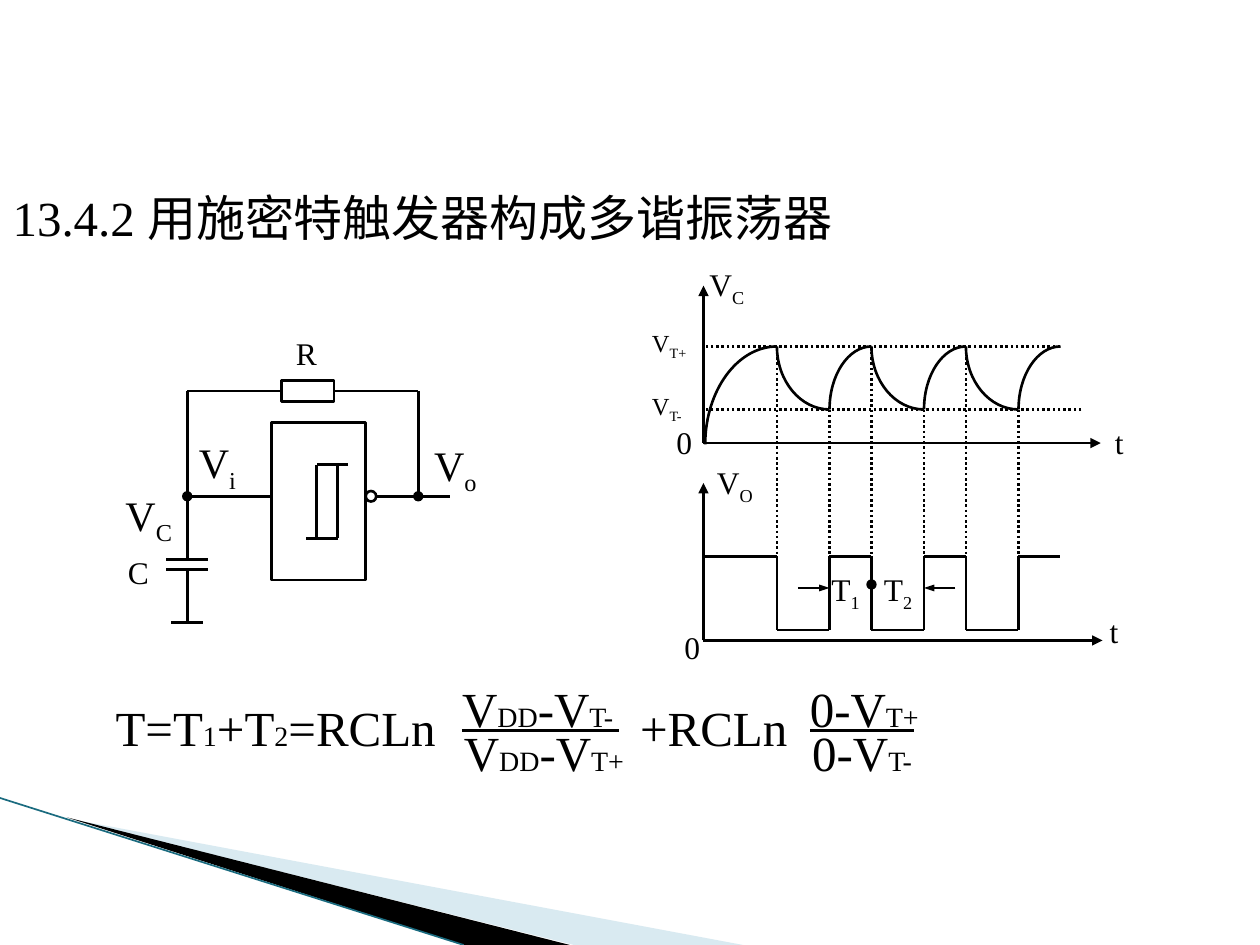
from itertools import pairwise

from lxml.etree import SubElement
from pptx import Presentation
from pptx.dml.color import RGBColor
from pptx.enum.dml import MSO_LINE_DASH_STYLE as Dash
from pptx.enum.shapes import MSO_CONNECTOR_TYPE as Connector, MSO_SHAPE as Preset
from pptx.enum.text import MSO_ANCHOR as Anchor, MSO_AUTO_SIZE as AutoSize, PP_ALIGN as Align
from pptx.oxml.ns import qn
from pptx.util import Pt

COLORS = {"ink": "000000", "pale": "A0CBDC", "edge": "1A6B7F"}
FONT = "Times New Roman"
ROUND = 0.55  # handle length of a Bezier quarter ellipse


class Sketch:
    """Drawing style and the slide being drawn; all lengths in points."""

    def __init__(self, slide):
        self.slide = slide
        self.shapes = slide.shapes

    def color(self, name):
        return RGBColor.from_string(COLORS[name])

    def outline(self, line, color="ink", width=1.5):
        line.color.rgb = self.color(color)
        line.width = Pt(width)

    def run(self, paragraph, text, size):
        run = paragraph.add_run()
        run.text = text
        run.font.name = FONT
        run.font.size = Pt(size)
        run.font.color.rgb = self.color("ink")
        return run

    def title(self, text, left, top, width, height):
        title = self.shapes.title
        title.left, title.top, title.width, title.height = map(Pt, (left, top, width, height))
        frame = title.text_frame
        frame.word_wrap = True
        frame.auto_size = AutoSize.NONE
        frame.vertical_anchor = Anchor.TOP
        frame.paragraphs[0].alignment = Align.LEFT
        self.run(frame.paragraphs[0], text, 28)

    def label(self, left, top, width, height, parts, size=18, small=None):
        """Every second part is a subscript, or just smaller when small is set."""
        box = self.shapes.add_textbox(*map(Pt, (left, top, width, height)))
        frame = box.text_frame
        frame.word_wrap = False
        frame.auto_size = AutoSize.SHAPE_TO_FIT_TEXT
        for i, part in enumerate(parts):
            lowered = i % 2 == 1
            run = self.run(frame.paragraphs[0], part, small if lowered and small else size)
            if lowered and not small:
                run._r.get_or_add_rPr().set("baseline", "-25000")

    def line(self, start, end, tail=None, dotted=False, color="ink", width=1.5, head_width="med"):
        wire = self.shapes.add_connector(Connector.STRAIGHT, *map(Pt, (*start, *end)))
        self.outline(wire.line, color, width)
        if dotted:
            wire.line.dash_style = Dash.ROUND_DOT
        if tail:
            SubElement(wire.line._get_or_add_ln(), qn("a:tailEnd"), type=tail, w=head_width)
        SubElement(wire._element.spPr, qn("a:effectLst"))

    def chain(self, *points):
        for start, end in pairwise(points):
            self.line(start, end)

    def shape(self, preset, left, top, width, height):
        shape = self.shapes.add_shape(preset, *map(Pt, (left, top, width, height)))
        shape.shadow.inherit = False
        shape.fill.background()
        self.outline(shape.line)

    def freeform(self, points, close):
        (x, y), *rest = [(Pt(px), Pt(py)) for px, py in points]
        builder = self.shapes.build_freeform(x, y)
        builder.add_line_segments(rest, close=close)
        shape = builder.convert_to_shape()
        shape.shadow.inherit = False
        return shape

    def wedge(self, points, color, alpha=None):
        wedge = self.freeform(points, True)
        wedge.fill.solid()
        wedge.fill.fore_color.rgb = self.color(color)
        wedge.line.fill.background()
        if alpha:
            rgb = wedge._element.spPr.find(".//" + qn("a:srgbClr"))
            SubElement(rgb, qn("a:alpha"), val=str(alpha * 1000))

    def curve(self, start, end):
        """Quarter ellipse, steep at the start and level at the end."""
        (x0, y0), (x1, y1) = start, end
        handles = [(x0, y0 + ROUND * (y1 - y0)), (x1 - ROUND * (x1 - x0), y1)]
        curve = self.freeform([start, *handles, end], False)
        outline = curve._element.spPr.find(".//" + qn("a:path"))
        segments = outline.findall(qn("a:lnTo"))
        bezier = SubElement(outline, qn("a:cubicBezTo"))
        for segment in segments:
            bezier.append(segment[0])
            outline.remove(segment)
        curve.fill.background()
        self.outline(curve.line)


def decoration(s):
    s.wedge([(40, 468), (424.6, 540), (328, 540)], "pale", 40)
    s.wedge([(38, 467), (325.7, 540), (265, 540)], "ink")
    s.line((0, 456), (265, 540), color="edge", width=0.95)


def waveforms(s):
    edges = [444, 474, 498, 528, 552, 582, 606]
    origin, upper, lower, high, low = 402, 198, 234, 318, 360

    # Axes and their names
    for base, top, right in ((253.2, 163.2, 629), (366, 276, 630)):
        s.line((origin, base), (origin, top), "triangle")
        s.line((origin, base), (right, base), "triangle")
    s.label(398.3, 148, 36, 29, ["V", "C"])
    s.label(402.5, 261.2, 37, 29, ["V", "O"])
    for left, top, text in ((630, 238, "t"), (627, 346, "t"), (379.5, 238.3, "0"), (384, 355.4, "0")):
        s.label(left, top, 22, 29, [text])

    # Threshold levels
    for level, right, sub in ((upper, 606, "T+"), (lower, 618, "T-")):
        s.line((right, level), (403, level), dotted=True)
        s.label(365.4, level - 14, 36, 24, ["V", sub], 14)

    # Capacitor voltage: charge and discharge in turn
    points = [(403, 254)] + [(x, lower if i % 2 else upper) for i, x in enumerate(edges)]
    for start, end in pairwise(points):
        s.curve(start, end)

    # Projections down to the output
    for i, x in enumerate(edges[:-1]):
        s.line((x, lower if i % 2 else upper), (x, 336 if i % 2 else high), dotted=True)

    # Square output
    pulse = [(origin, high)]
    for i, x in enumerate(edges[:-1]):
        pulse += [(x, high), (x, low)] if i % 2 == 0 else [(x, low), (x, high)]
    s.chain(*pulse, (edges[-1], high))

    # Period marks
    for start, end in ((456, 474), (546, 528)):
        s.line((start, 336), (end, 336), "triangle", head_width="sm")
    s.line((498, 358), (498, 334), "oval")
    for left, index in ((468, "1"), (498, "2")):
        s.label(left, 322, 34.5, 31, ["T", index])


def circuit(s):
    left, right, top, middle = 107, 239, 223.4, 283.6

    # Schmitt inverter with hysteresis symbol
    s.shape(Preset.RECTANGLE, 155, 241.4, 54, 90)
    s.chain((199, 265.6), (181, 265.6), (181, 307.6))
    s.chain((193, 265.6), (193, 307.6), (175, 307.6))
    s.shape(Preset.OVAL, 209, 280.6, 6, 6)

    # Feedback resistor
    s.shape(Preset.RECTANGLE, 161, 217.4, 30, 12)
    s.chain((161, top), (left, top), (left, middle))
    s.line((191, top), (right, top))
    s.line((right, top), (right, middle), "oval")

    # Input and output
    s.line((155, middle), (left, middle), "oval")
    s.line((215, middle), (257, middle))

    # Capacitor to ground
    for x0, x1, y in ((95, 119, 319.6), (95, 119, 325.6), (98, 116, 355.6)):
        s.line((x0, y), (x1, y))
    s.line((left, middle), (left, 319.6))
    s.line((left, 325.6), (left, 355.6))

    # Names
    for x, y, width, sub in ((64.6, 276, 43, "C"), (241, 247.6, 40, "o"), (106.5, 246, 37, "i")):
        s.label(x, y, width, 36, ["V", sub], 24)
    s.label(66, 312.5, 29, 31, ["C"])
    s.label(162, 187.5, 29, 31, ["R"])


def formula(s):
    terms = [
        (59, 395, 209, ["T=T", "1", "+T", "2", "=RCLn"]),
        (257, 384, 104, ["V", "DD", "-V", "T-"]),
        (258, 409.3, 107, ["V", "DD", "-V", "T+"]),
        (358.7, 395, 105, ["+RCLn"]),
        (455.7, 384, 78, ["0-V", "T+"]),
        (457, 409.3, 74, ["0-V", "T-"]),
    ]
    for left, top, width, parts in terms:
        s.label(left, top, width, 41, parts, 28, 16)
    for start, end in ((264, 354), (463, 522)):
        s.line((start, 417.3), (end, 417.3))


def main():
    deck = Presentation()
    deck.slide_width, deck.slide_height = Pt(720), Pt(540)
    sketch = Sketch(deck.slides.add_slide(deck.slide_layouts[5]))
    decoration(sketch)
    sketch.title("13.4.2 用施密特触发器构成多谐振荡器", 0, 103.4, 484, 41)
    waveforms(sketch)
    circuit(sketch)
    formula(sketch)
    deck.save("out.pptx")


if __name__ == "__main__":
    main()
